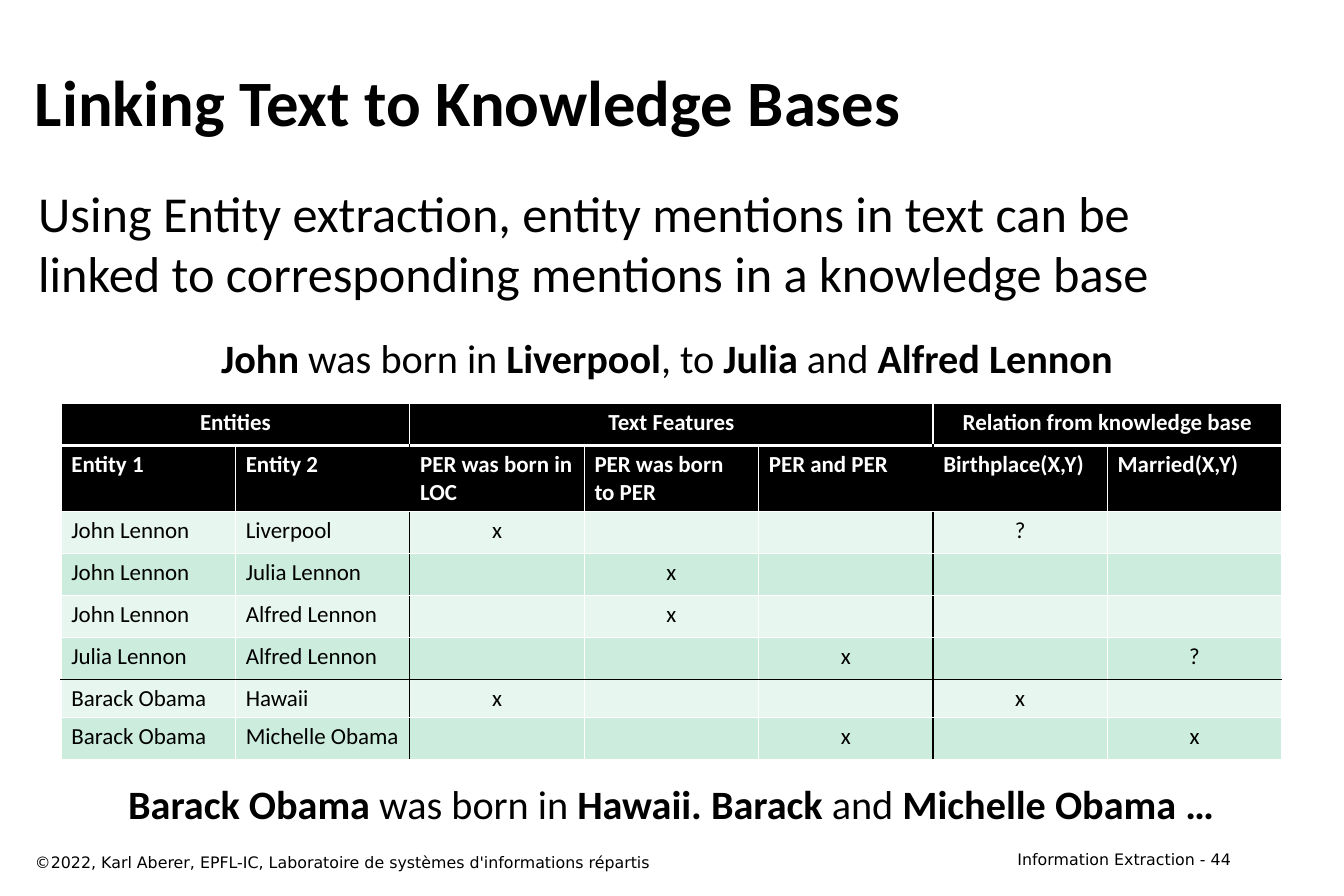
from lxml import etree
from pptx import Presentation
from pptx.dml.color import RGBColor
from pptx.enum.text import MSO_ANCHOR, MSO_AUTO_SIZE, PP_ALIGN
from pptx.oxml.ns import qn
from pptx.util import Pt

LEFT, MID, RIGHT = PP_ALIGN.LEFT, PP_ALIGN.CENTER, PP_ALIGN.RIGHT
TOP, CENTRE = MSO_ANCHOR.TOP, MSO_ANCHOR.MIDDLE
FIT = MSO_AUTO_SIZE.SHAPE_TO_FIT_TEXT
SANS, SMALL = "Calibri", "DejaVu Sans"
COLORS = {"black": "000000", "white": "FFFFFF", "pale": "E7F6EF", "mint": "CCECDE"}


class Page:
    def __init__(self, slide):
        self.slide = slide

    def add_runs(self, para, runs, size, font=SANS, color="black", align=LEFT):
        """Add (text, bold) runs to a paragraph."""
        para.alignment = align
        for text, bold in runs:
            run = para.add_run()
            run.text = text
            run.font.size, run.font.name, run.font.bold = Pt(size), font, bold
            run.font.color.rgb = RGBColor.from_string(COLORS[color])

    def text(self, box, runs, size, font=SANS, align=LEFT, anchor=TOP):
        frame = self.slide.shapes.add_textbox(*map(Pt, box)).text_frame
        frame.word_wrap, frame.vertical_anchor = True, anchor
        frame.margin_left = frame.margin_right = Pt(8.6)
        frame.margin_top = frame.margin_bottom = Pt(4.3)
        self.add_runs(frame.paragraphs[0], runs, size, font, align=align)

    def quote(self, box, runs):
        """Add a centred example sentence on one line."""
        frame = self.slide.shapes.add_textbox(*map(Pt, box)).text_frame
        frame.word_wrap, frame.auto_size = False, FIT
        self.add_runs(frame.paragraphs[0], runs, 28, align=MID)

    def edge(self, cell, side, color, width):
        props = cell._tc.get_or_add_tcPr()
        line = etree.SubElement(props, qn("a:ln" + side), w=str(Pt(width)))
        fill = etree.SubElement(line, qn("a:solidFill"))
        etree.SubElement(fill, qn("a:srgbClr"), val=COLORS[color])

    def cell(self, cell, text, fill, color, bold, align, edges):
        for side, (tint, width) in edges.items():
            self.edge(cell, side, tint, width)
        cell.fill.solid()
        cell.fill.fore_color.rgb = RGBColor.from_string(COLORS[fill])
        para = cell.text_frame.paragraphs[0]
        if text:
            self.add_runs(para, [(text, bold)], 16, color=color, align=align)
        else:
            para._p.get_or_add_endParaRPr().set("sz", "1600")

    def table(self, box, rows, heights, spans):
        grid = self.slide.shapes.add_table(len(rows), len(rows[0]), *map(Pt, box)).table
        for col in grid.columns:
            col.width = Pt(box[2] / len(rows[0]))
        for row, height in zip(grid.rows, heights):
            row.height = Pt(height)
        for first, last in spans:
            grid.cell(0, first).merge(grid.cell(0, last))
        for r, row in enumerate(rows):
            head = r < 2
            fill = "black" if head else ("pale", "mint")[r % 2]
            for c, text in enumerate(row):
                # Black rules split the column groups and the two examples
                edges = {
                    "L": ("black" if r and c in (2, 5) else "white", 1),
                    "R": ("black" if r and c in (1, 4) else "white", 1),
                    "T": ("black" if r == 6 else "white", 3 if r == 1 else 1),
                    "B": ("black" if r == 5 else "white", 3 if r == 0 else 1),
                }
                align = MID if r == 0 or (not head and c > 1) else LEFT
                self.cell(grid.cell(r, c), text, fill,
                          "white" if head else "black", head, align, edges)


def main():
    deck = Presentation()
    deck.slide_width, deck.slide_height = Pt(935.3), Pt(623.5)
    page = Page(deck.slides.add_slide(deck.slide_layouts[6]))

    # Title and statement
    page.text((15.8, 28.1, 849.6, 83.5),
              [("Linking Text to Knowledge Bases", True)], 45, anchor=CENTRE)
    page.text((18, 122.5, 849.6, 100),
              [("Using Entity extraction, entity mentions in text can be "
                "linked to corresponding mentions in a knowledge base", False)], 35)

    # Entity and relation table
    rows = [
        ["Entities", "", "Text Features", "", "", "Relation from knowledge base", ""],
        ["Entity 1", "Entity 2", "PER was born in LOC", "PER was born to PER",
         "PER and PER", "Birthplace(X,Y)", "Married(X,Y)"],
        ["John Lennon", "Liverpool", "x", "", "", "?", ""],
        ["John Lennon", "Julia Lennon", "", "x", "", "", ""],
        ["John Lennon", "Alfred Lennon", "", "x", "", "", ""],
        ["Julia Lennon", "Alfred Lennon", "", "", "x", "", "?"],
        ["Barack Obama", "Hawaii", "x", "", "", "x", ""],
        ["Barack Obama", "Michelle Obama", "", "", "x", "", "x"],
    ]
    heights = [29.2, 46, 29.2, 29.2, 29.2, 29.2, 26.6, 29.2]
    page.table((42.5, 280.8, 849.6, sum(heights)), rows, heights,
               [(0, 1), (2, 4), (5, 6)])

    # Example sentences
    page.quote((144.7, 228.2, 645.1, 41),
               [("John", True), (" was born in ", False), ("Liverpool", True),
                (", to ", False), ("Julia", True), (" and ", False),
                ("Alfred Lennon ", True)])
    page.quote((74.9, 538.6, 784.1, 41),
               [("Barack Obama ", True), ("was born in ", False),
                ("Hawaii. Barack ", True), ("and", False),
                (" Michelle Obama …", True)])

    # Footer
    page.text((15.8, 589, 600.5, 20.9),
              [("©2022, Karl Aberer, EPFL-IC, Laboratoire de systèmes "
                "d'informations répartis", False)], 11, SMALL)
    page.text((670.3, 586.8, 195.1, 20.9),
              [("Information Extraction - 44", False)], 11, SMALL, RIGHT)

    deck.save("out.pptx")


if __name__ == "__main__":
    main()
